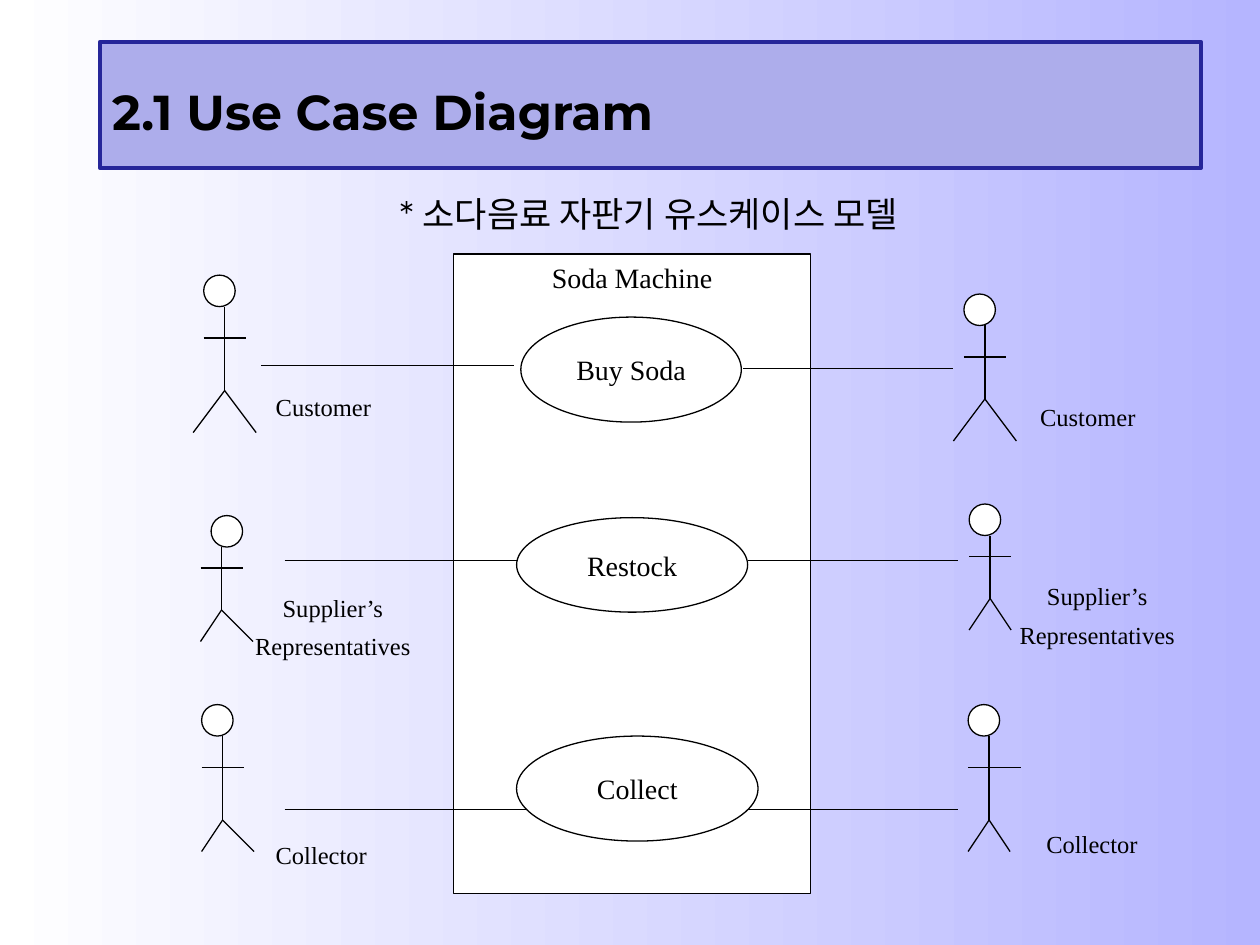
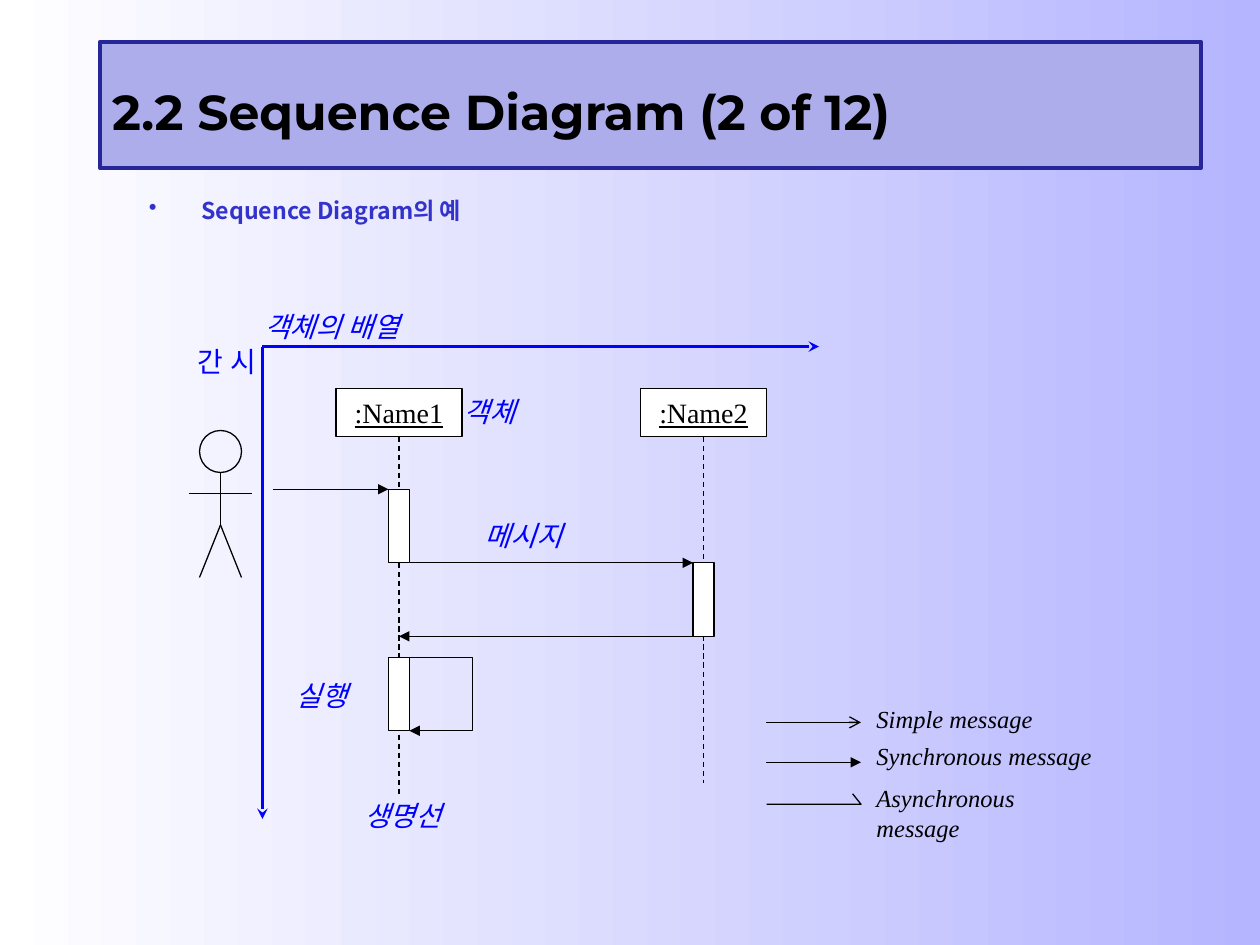
from dataclasses import dataclass

from lxml import etree
from pptx import Presentation
from pptx.dml.color import RGBColor
from pptx.enum.dml import MSO_LINE
from pptx.enum.shapes import MSO_CONNECTOR, MSO_SHAPE
from pptx.enum.text import MSO_ANCHOR, MSO_AUTO_SIZE, PP_ALIGN
from pptx.oxml.ns import qn
from pptx.util import Inches, Pt

RECTANGLE, OVAL = MSO_SHAPE.RECTANGLE, MSO_SHAPE.OVAL
STRAIGHT, DASH = MSO_CONNECTOR.STRAIGHT, MSO_LINE.DASH
LEFT, CENTER = PP_ALIGN.LEFT, PP_ALIGN.CENTER
TOP, MIDDLE = MSO_ANCHOR.TOP, MSO_ANCHOR.MIDDLE
COLUMNS, ROWS = 120, 90


@dataclass(frozen=True)
class Theme:
    """Colours, fonts and sizes shared by the slides."""
    black: str = "000000"
    white: str = "FFFFFF"
    background_end: str = "B5B5FF"
    band: str = "ADADEB"
    band_line: str = "262699"
    heading: str = "3333CC"
    note: str = "0000FF"
    title_font: str = "Montserrat"
    body_font: str = "Noto Sans CJK KR"
    diagram_font: str = "Times New Roman"
    vertical_font: str = "Karla"
    title_size: float = 28
    subtitle_size: float = 20
    heading_size: float = 13.2
    diagram_size: float = 16
    label_size: float = 14
    thin: float = 0.75
    axis: float = 2
    band_width: float = 2.25


THEME = Theme()


@dataclass(frozen=True)
class Actor:
    """A stick figure, measured in grid cells from its spine and head top."""
    x: float
    top: float
    arm: float
    hip: float
    foot: float
    feet: tuple = (-2, 2)
    arms: tuple = (-2, 2)
    head_left: float = -2
    head: float = 3
    fill: str | None = THEME.white


def cells(*values):
    """Turn grid cells into slide lengths."""
    return [Inches(value * 10 / COLUMNS) for value in values]


def set_line(line, color=THEME.black, width=THEME.thin):
    """Give a line its colour and width."""
    line.color.rgb = RGBColor.from_string(color)
    line.width = Pt(width)


def add_arrowhead(shape, kind):
    """Put an arrowhead at the end of a line."""
    line = shape.line._get_or_add_ln()
    etree.SubElement(line, qn("a:tailEnd"), type=kind)


def add_line(slide, start, end, color=THEME.black, width=THEME.thin, head=None, dash=None):
    """Draw a straight line between two grid points."""
    connector = slide.shapes.add_connector(STRAIGHT, *cells(*start, *end))
    etree.SubElement(connector._element.spPr, qn("a:effectLst"))
    set_line(connector.line, color, width)
    if dash:
        connector.line.dash_style = dash
    if head:
        add_arrowhead(connector, head)


def add_path(slide, points, head=None):
    """Draw an open outline through grid points."""
    start, *others = [cells(*point) for point in points]
    builder = slide.shapes.build_freeform(*start)
    builder.add_line_segments(others, close=False)
    shape = builder.convert_to_shape()
    shape.shadow.inherit = False
    shape.fill.background()
    set_line(shape.line)
    if head:
        add_arrowhead(shape, head)


def write(shape, text, size=THEME.diagram_size, font=THEME.diagram_font, color=THEME.black,
          align=LEFT, anchor=TOP, wrap=False, spacing=None, before=None,
          bold=False, italic=False, underline=False):
    """Write text into a shape, one paragraph a line."""
    frame = shape.text_frame
    frame.word_wrap = wrap
    frame.vertical_anchor = anchor
    frame.text = text
    for paragraph in frame.paragraphs:
        paragraph.alignment = align
        if spacing:
            paragraph.line_spacing = spacing
        if before:
            paragraph.space_before = Pt(before)
        paragraph.font.name = font
        paragraph.font.size = Pt(size)
        paragraph.font.color.rgb = RGBColor.from_string(color)
        paragraph.font.bold = bold
        paragraph.font.italic = italic
        paragraph.font.underline = underline


def add_shape(slide, kind, area, fill=THEME.white, line=THEME.black, width=THEME.thin):
    """Add a preset shape on the grid."""
    shape = slide.shapes.add_shape(kind, *cells(*area))
    shape.shadow.inherit = False
    if fill:
        shape.fill.solid()
        shape.fill.fore_color.rgb = RGBColor.from_string(fill)
    else:
        shape.fill.background()
    set_line(shape.line, line, width)
    return shape


def add_text(slide, area, text, **style):
    """Add a text box on the grid."""
    box = slide.shapes.add_textbox(*cells(*area))
    write(box, text, **style)
    return box


def add_note(slide, area, text, align=LEFT):
    """Add a blue slanted note on the diagram."""
    add_text(slide, area, text, color=THEME.note, italic=True, wrap=True, align=align)


def add_actor(slide, actor):
    """Draw a stick figure."""
    x, top = actor.x, actor.top
    head = (x + actor.head_left, top, actor.head, actor.head)
    add_shape(slide, OVAL, head, actor.fill)
    hip = (x, top + actor.hip)
    add_line(slide, (x, top + actor.head), hip)
    left, right = actor.arms
    add_line(slide, (x + left, top + actor.arm), (x + right, top + actor.arm))
    for foot in actor.feet:
        add_line(slide, hip, (x + foot, top + actor.foot))


def add_bullet(paragraph, indent):
    """Give a paragraph a coloured round bullet and a hanging indent."""
    properties = paragraph._p.get_or_add_pPr()
    margin = cells(indent)[0]
    properties.set("marL", str(margin))
    properties.set("indent", str(-margin))
    color = etree.Element(qn("a:buClr"))
    etree.SubElement(color, qn("a:srgbClr"), val=THEME.heading)
    bullet = etree.Element(qn("a:buChar"), char="•")
    for element in (color, bullet):
        properties.find(qn("a:defRPr")).addprevious(element)


def add_slide(presentation, title):
    """Add a slide with the shared background and title band."""
    slide = presentation.slides.add_slide(presentation.slide_layouts[6])
    fill = slide.background.fill
    fill.gradient()
    fill.gradient_angle = 0
    for stop, color in zip(fill.gradient_stops, (THEME.white, THEME.background_end)):
        stop.color.rgb = RGBColor.from_string(color)
    band = add_shape(slide, RECTANGLE, (9.5, 4, 104.9, 12),
                     THEME.band, THEME.band_line, THEME.band_width)
    write(band, title, THEME.title_size, THEME.title_font,
          anchor=MIDDLE, wrap=True, spacing=1.2, bold=True)
    return slide


def build_use_case_slide(presentation):
    """Build the use case diagram."""
    slide = add_slide(presentation, "2.1 Use Case Diagram")
    add_text(slide, (10.8, 17, 102, 5.9), "* 소다음료 자판기 유스케이스 모델",
             size=THEME.subtitle_size, font=THEME.title_font, align=CENTER,
             anchor=MIDDLE, wrap=True, spacing=1.2)
    actors = (
        Actor(21.4, 26.2, 6, 11, 15, feet=(-3, 3)),
        Actor(93.8, 28, 6, 10, 14, feet=(-3, 3)),
        Actor(21.1, 49.1, 5, 9, 12, feet=(-2, 3), head_left=-1),
        Actor(94.3, 48, 5, 9, 12),
        Actor(21.2, 67.1, 6, 11, 14, feet=(-2, 3)),
        Actor(94.2, 67.1, 6, 11, 14, arms=(-2, 3)),
    )
    for actor in actors:
        add_actor(slide, actor)

    system = add_shape(slide, RECTANGLE, (43.2, 24.2, 34, 60.9))
    write(system, "Soda Machine", align=CENTER)
    use_cases = (
        ("Buy Soda", (49.6, 30.2, 21, 10)),
        ("Restock", (49.2, 49.3, 22, 9)),
        ("Collect", (49.2, 70.1, 23, 10)),
    )
    for name, area in use_cases:
        write(add_shape(slide, OVAL, area), name, align=CENTER, anchor=MIDDLE)

    links = ((24.9, 49, 34.8), (70.8, 90.8, 35.1), (27.1, 49.2, 53.4),
             (71.2, 91.2, 53.4), (27.1, 50.2, 77.1), (71.2, 91.2, 77.1))
    for start, end, row in links:
        add_line(slide, (start, row), (end, row))

    roles = (
        ("Customer", (30.8, 36.5), (103.6, 37.4)),
        ("Supplier’s\nRepresentatives", (31.7, 55.6), (104.5, 54.5)),
        ("Collector", (30.6, 79.1), (104, 78.1)),
    )
    width = 17.2
    for role, *places in roles:
        height = 4.3 + 3.6 * role.count("\n")
        for center, top in places:
            add_text(slide, (center - width / 2, top, width, height), role,
                     size=THEME.label_size, align=CENTER, spacing=1.1, before=3.5)


def add_time_label(slide):
    """Add the vertical label beside the time axis."""
    box = add_text(slide, (19.8, 31.9, 5.5, 7), "시간", font=THEME.vertical_font,
                   color=THEME.note, wrap=True, before=10)
    frame = box.text_frame
    frame.margin_left = frame.margin_right = Inches(0.05)
    frame.margin_top = frame.margin_bottom = Inches(0.1)
    frame.auto_size = MSO_AUTO_SIZE.SHAPE_TO_FIT_TEXT
    frame._txBody.bodyPr.set("vert", "eaVert")


def add_legend(slide):
    """Explain the three kinds of message arrow."""
    left, right = 73, 82
    add_line(slide, (left, 68.8), (right, 68.8), head="arrow")
    add_line(slide, (left, 72.6), (right, 72.6), head="triangle")
    add_path(slide, ((left, 76.6), (right, 76.6), (81.2, 75.6)))
    for row, kind in ((66.5, "Simple"), (70, "Synchronous"), (74, "Asynchronous")):
        add_text(slide, (82.3, row, 24, 4.1), f"{kind} message",
                 size=THEME.label_size, italic=True)


def build_sequence_slide(presentation):
    """Build the sequence diagram."""
    slide = add_slide(presentation, "2.2 Sequence Diagram (2 of 12)")
    heading = add_text(slide, (13, 18.6, 102.4, 6.6), "Sequence Diagram의 예",
                       size=THEME.heading_size, font=THEME.body_font, color=THEME.heading,
                       wrap=True, spacing=0.8, before=6, bold=True)
    add_bullet(heading.text_frame.paragraphs[0], 5)
    add_actor(slide, Actor(21, 41, 6, 9, 14, arms=(-3, 3), head=4, fill=None))

    first, second = 38, 67
    for name, column, end in ((":Name1", first, 75.6), (":Name2", second, 74.6)):
        box = add_shape(slide, RECTANGLE, (column - 6, 37, 12, 4.6))
        write(box, name, align=CENTER, anchor=MIDDLE, underline=True)
        add_line(slide, (column, 41.6), (column, end), dash=DASH)
    for column, row in ((first, 46.6), (second, 53.6), (first, 62.6)):
        add_shape(slide, RECTANGLE, (column - 1, row, 2, 7))

    messages = ((26, first - 1, 46.6), (first + 1, second - 1, 53.6), (second - 1, first, 60.6))
    for start, end, row in messages:
        add_line(slide, (start, row), (end, row), head="triangle")
    add_path(slide, ((39, 62.6), (45, 62.6), (45, 69.6), (39, 69.6)), head="triangle")

    add_note(slide, (32.7, 75.5, 11.3, 4.4), "생명선", CENTER)
    add_note(slide, (27, 64, 9, 4.4), "실행")
    add_note(slide, (45, 48.8, 11, 4.4), "메시지")
    add_note(slide, (43, 37, 9, 4.4), "객체")
    add_note(slide, (24, 28.9, 18, 4.4), "객체의 배열")
    add_legend(slide)
    for end in ((25, 78), (78, 33)):
        add_line(slide, (25, 33), end, THEME.note, THEME.axis, head="stealth")
    add_time_label(slide)


def main():
    """Build and save the presentation."""
    presentation = Presentation()
    presentation.slide_width, presentation.slide_height = cells(COLUMNS, ROWS)
    build_use_case_slide(presentation)
    build_sequence_slide(presentation)
    presentation.save("out.pptx")


if __name__ == "__main__":
    main()
